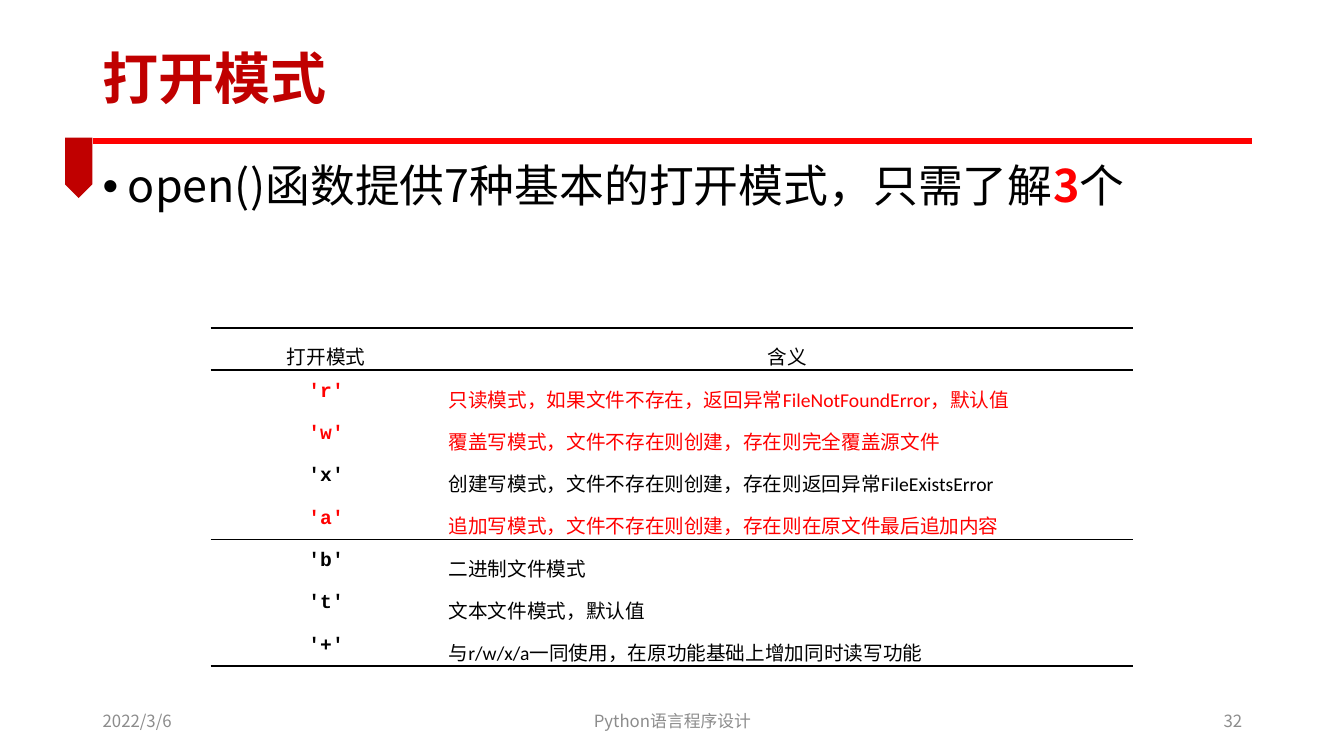
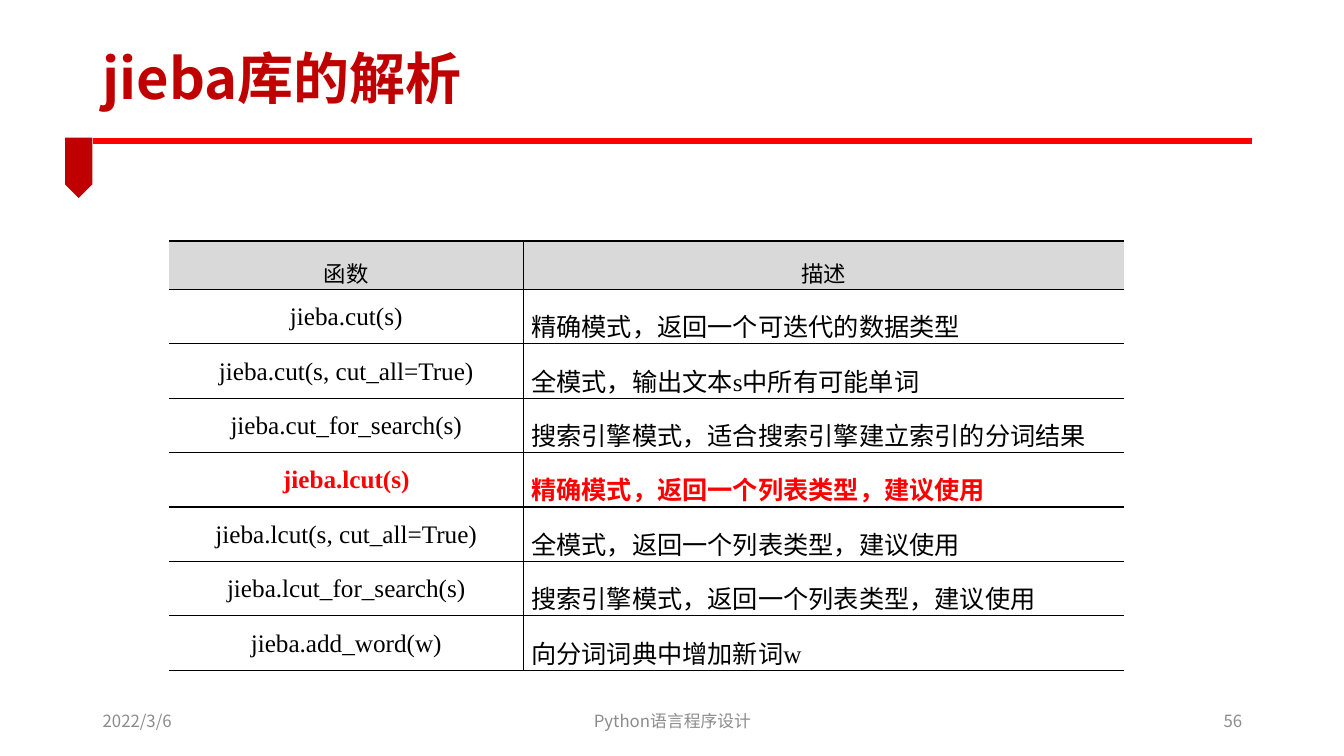
from lxml.etree import SubElement as Sub
from pptx import Presentation
from pptx.dml.color import RGBColor as RGB
from pptx.enum.shapes import MSO_CONNECTOR as Conn, MSO_SHAPE as Shape
from pptx.enum.text import MSO_ANCHOR as Anchor, PP_ALIGN as Align
from pptx.oxml import parse_xml
from pptx.oxml.ns import nsdecls, qn
from pptx.util import Inches, Pt

HUES = {"red": "FF0000", "deep": "C00000", "ink": "000000",
        "gray": "8C8C8C", "head": "D9D9D9", "white": "FFFFFF"}
SANS = "Noto Sans CJK SC"
WIDE, HIGH = 13.33, 7.5
LEFT, SPAN = 0.92, 11.5
RULE = 1.4
PLAIN = "{2D5ABB26-0587-4C30-8999-92F81FD0307C}"

MODES = [
    ("打开模式", "含义"),
    ("'r'", "只读模式，如果文件不存在，返回异常FileNotFoundError，默认值"),
    ("'w'", "覆盖写模式，文件不存在则创建，存在则完全覆盖源文件"),
    ("'x'", "创建写模式，文件不存在则创建，存在则返回异常FileExistsError"),
    ("'a'", "追加写模式，文件不存在则创建，存在则在原文件最后追加内容"),
    ("'b'", "二进制文件模式"),
    ("'t'", "文本文件模式，默认值"),
    ("'+'", "与r/w/x/a一同使用，在原功能基础上增加同时读写功能"),
]
CALLS = [
    ("函数", "描述"),
    ("jieba.cut(s)", "精确模式，返回一个可迭代的数据类型"),
    ("jieba.cut(s, cut_all=True)", "全模式，输出文本s中所有可能单词"),
    ("jieba.cut_for_search(s)", "搜索引擎模式，适合搜索引擎建立索引的分词结果"),
    ("jieba.lcut(s)", "精确模式，返回一个列表类型，建议使用"),
    ("jieba.lcut(s, cut_all=True)", "全模式，返回一个列表类型，建议使用"),
    ("jieba.lcut_for_search(s)", "搜索引擎模式，返回一个列表类型，建议使用"),
    ("jieba.add_word(w)", "向分词词典中增加新词w"),
]


def color(name):
    """Return the named colour."""
    return RGB.from_string(HUES[name])


def style(run, size, hue="ink", bold=False, face=SANS):
    """Format one run, with the sans face for its Chinese characters."""
    font = run.font
    font.size, font.bold, font.name = Pt(size), bold, face
    font.color.rgb = color(hue)
    Sub(run._r.get_or_add_rPr(), qn("a:ea")).set("typeface", SANS)


def place(shape, box):
    """Move a shape to a box given in inches."""
    shape.left, shape.top, shape.width, shape.height = map(Inches, box)


def label(slide, box, text, align):
    """Add one small gray footer text."""
    frame = slide.shapes.add_textbox(*map(Inches, box)).text_frame
    frame.word_wrap = True
    frame.vertical_anchor = Anchor.MIDDLE
    frame.text = text
    par = frame.paragraphs[0]
    par.alignment = align
    style(par.runs[0], 12, "gray")


def footer(slide, box, number):
    """Set date, course and page number across the box."""
    left, top, width, height = box
    side, mid = 3, 4.5
    label(slide, (left, top, side, height), "2022/3/6", Align.LEFT)
    label(slide, (left + (width - mid) / 2, top, mid, height),
          "Python语言程序设计", Align.CENTER)
    label(slide, (left + width - side, top, side, height), str(number), Align.RIGHT)


def band(slide, left, top, width):
    """Draw the red rule and the ribbon hanging from its left end."""
    line = slide.shapes.add_connector(
        Conn.STRAIGHT, *map(Inches, (left, top, left + width, top)))
    line.line.color.rgb = color("red")
    line.line.width = Pt(4.5)
    Sub(line._element.spPr, qn("a:effectLst"))
    flag = slide.shapes.add_shape(
        Shape.PENTAGON, *map(Inches, (left - 0.44, top + 0.13, 0.6, 0.27)))
    flag.rotation = 90
    flag.shadow.inherit = False
    flag.fill.solid()
    flag.fill.fore_color.rgb = color("deep")
    flag.line.fill.background()


def page(deck, title, number):
    """Add a slide with title, band and footer."""
    slide = deck.slides.add_slide(deck.slide_layouts[5])
    head = slide.shapes.title
    place(head, (LEFT, 0.35, 8.65, 0.92))
    frame = head.text_frame
    frame.text = title
    frame.vertical_anchor = Anchor.MIDDLE
    par = frame.paragraphs[0]
    par.alignment, par.line_spacing = Align.LEFT, 0.9
    style(par.runs[0], 40, "deep", True)
    band(slide, LEFT, RULE, SPAN)
    footer(slide, (LEFT, 6.95, SPAN, 0.4), number)
    return slide


def bullet(slide, box, parts):
    """Write one bullet from (text, hue, bold) parts."""
    frame = slide.shapes.add_textbox(*map(Inches, box)).text_frame
    frame.word_wrap = True
    par = frame.paragraphs[0]
    par.line_spacing, par.space_before = 0.9, Pt(10)
    props = par._p.get_or_add_pPr()
    props.set("marL", str(Inches(0.25)))
    props.set("indent", str(-Inches(0.25)))
    Sub(props, qn("a:buFont")).set("typeface", "Arial")
    Sub(props, qn("a:buChar")).set("char", "•")
    for text, hue, bold in parts:
        run = par.add_run()
        run.text = text
        style(run, 32, hue, bold)


def edges(cell, widths):
    """Set the left, right, top and bottom borders, zero for none."""
    props = cell._tc.get_or_add_tcPr()
    for i, (side, width) in enumerate(zip("LRTB", widths)):
        fill = (f'<a:solidFill><a:srgbClr val="{HUES["ink"]}"/></a:solidFill>'
                if width else "<a:noFill/>")
        props.insert(i, parse_xml(
            f'<a:ln{side} {nsdecls("a")} w="{int(Pt(width))}">{fill}</a:ln{side}>'))


def fill(cell, text, back, pad, align, anchor, look):
    """Fill one cell with colour and formatted text."""
    cell.fill.solid()
    cell.fill.fore_color.rgb = color(back)
    cell.margin_left = cell.margin_right = Inches(pad)
    cell.margin_top = cell.margin_bottom = 0
    cell.vertical_anchor = anchor
    cell.text = text
    par = cell.text_frame.paragraphs[0]
    par.alignment, par.line_spacing = align, 1.5
    style(par.runs[0], **look)


def grid(slide, spot, cols, tall, rows, rules, look, split=0, pad=0.07,
         head="white", anchor=Anchor.TOP):
    """Build a two-column table; look(row, col) gives the font, rules the lines."""
    first, rest = tall
    box = (*spot, sum(cols), first + rest * (len(rows) - 1))
    frame = slide.shapes.add_table(len(rows), len(cols), *map(Inches, box))
    table = frame.table
    table._tbl.tblPr.find(qn("a:tableStyleId")).text = PLAIN
    table.horz_banding = table.first_row = False
    for col, width in zip(table.columns, cols):
        col.width = Inches(width)
    for r, row in enumerate(rows):
        table.rows[r].height = Inches(rest if r else first)
        for c, text in enumerate(row):
            cell = table.cell(r, c)
            fill(cell, text, "white" if r else head, pad,
                 Align.LEFT if r and c else Align.CENTER,
                 Anchor.TOP if r else anchor, look(r, c))
            edges(cell, (split * c, split * (1 - c),
                         rules.get(r, 0), rules.get(r + 1, 0)))


def mode(row, col):
    """Return the font of a cell in the table of modes."""
    code = row > 0 and col == 0
    return {"size": 14, "hue": "red" if row in (1, 2, 4) else "ink",
            "bold": code, "face": "Courier New" if code else "Calibri"}


def call(row, col):
    """Return the font of a cell in the table of functions."""
    hot = row == 4
    return {"size": 18 if row else 16, "hue": "red" if hot else "ink",
            "bold": hot, "face": "Times New Roman"}


def main():
    """Build both slides and save them."""
    deck = Presentation()
    deck.slide_width, deck.slide_height = Inches(WIDE), Inches(HIGH)

    slide = page(deck, "打开模式", 32)
    bullet(slide, (LEFT, 1.58, SPAN, 0.7), [
        ("open()函数提供7种基本的打开模式，只需了解", "ink", False),
        ("3", "red", True), ("个", "ink", False)])
    grid(slide, (2.09, 3.25), (2.29, 6.86), (0.42, 0.42), MODES,
         {0: 1.5, 1: 1.5, 5: 1, 8: 1.5}, mode, anchor=Anchor.BOTTOM)

    slide = page(deck, "jieba库的解析", 56)
    grid(slide, (1.68, 2.39), (3.51, 5.96), (0.48, 0.54), CALLS,
         dict.fromkeys(range(9), 1), call, split=1, pad=0.08, head="head")

    deck.save("out.pptx")


if __name__ == "__main__":
    main()
